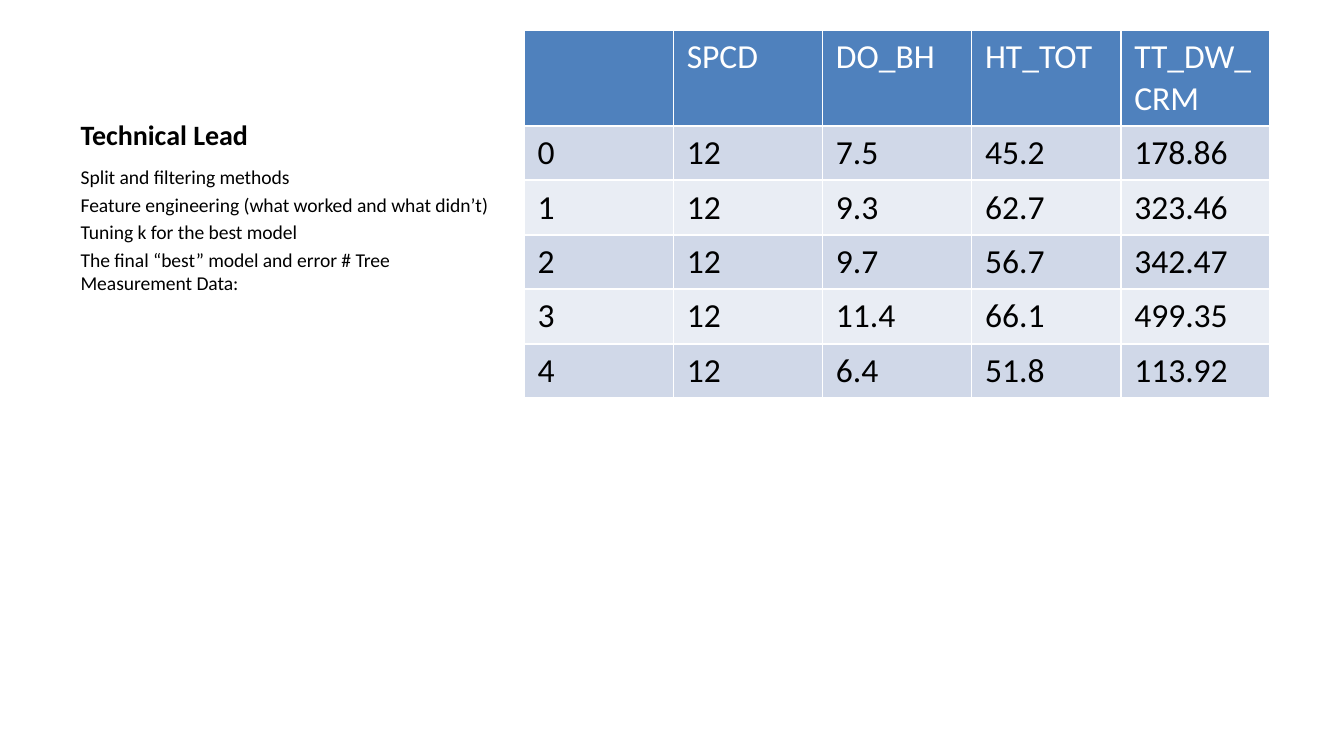
"""Build the Technical Lead slide with its tree measurement table."""
from pptx import Presentation
from pptx.dml.color import RGBColor
from pptx.enum.text import MSO_ANCHOR, MSO_AUTO_SIZE, PP_ALIGN
from pptx.util import Inches, Pt

TITLE = "Technical Lead"
TOPICS = [
    "Split and filtering methods",
    "Feature engineering (what worked and what didn’t)",
    "Tuning k for the best model",
    "The final “best” model and error # Tree Measurement Data:",
]
TREES = [
    ["", "SPCD", "DO_BH", "HT_TOT", "TT_DW_CRM"],
    ["0", "12", "7.5", "45.2", "178.86"],
    ["1", "12", "9.3", "62.7", "323.46"],
    ["2", "12", "9.7", "56.7", "342.47"],
    ["3", "12", "11.4", "66.1", "499.35"],
    ["4", "12", "6.4", "51.8", "113.92"],
]

FONT = "Calibri"
BLACK = RGBColor(0x00, 0x00, 0x00)
WHITE = RGBColor(0xFF, 0xFF, 0xFF)
BLUE = RGBColor(0x4F, 0x81, 0xBD)
BANDS = [RGBColor(0xE9, 0xED, 0xF4), RGBColor(0xD0, 0xD8, 0xE8)]
BOTTOM, TOP = MSO_ANCHOR.BOTTOM, MSO_ANCHOR.TOP
LEFT, NO_FIT = PP_ALIGN.LEFT, MSO_AUTO_SIZE.NONE

WIDE = 10
HIGH = WIDE * 9 / 16
EDGE, SIDE = 0.5, 3.29
HEAD, SPLIT = HIGH * 0.04, 1.18
GRID, COLUMN = 3.9, 1.11
HEAD_ROW, ROW = 0.7, 0.4


def write(frame, lines, size, color=BLACK, bold=False, gap=0):
    for i, line in enumerate(lines):
        para = frame.add_paragraph() if i else frame.paragraphs[0]
        para.alignment = LEFT
        para.space_before = Pt(gap if i else 0)
        run = para.add_run()
        run.text = line
        font = run.font
        font.name, font.size, font.bold = FONT, Pt(size), bold
        font.color.rgb = color


def place(holder, top, height, anchor):
    holder.left, holder.top = Inches(EDGE), Inches(top)
    holder.width, holder.height = Inches(SIDE), Inches(height)
    frame = holder.text_frame
    frame.word_wrap = True
    frame.auto_size = NO_FIT
    frame.vertical_anchor = anchor
    return frame


def draw_table(slide):
    rows, columns = len(TREES), len(TREES[0])
    table = slide.shapes.add_table(
        rows, columns, Inches(GRID), Inches(HEAD),
        Inches(COLUMN * columns), Inches(HEAD_ROW + ROW * (rows - 1))).table
    for r, values in enumerate(TREES):
        table.rows[r].height = Inches(ROW if r else HEAD_ROW)
        for c, value in enumerate(values):
            cell = table.cell(r, c)
            cell.fill.solid()
            cell.fill.fore_color.rgb = BANDS[r % 2] if r else BLUE
            if value:
                write(cell.text_frame, [value], 18, BLACK if r else WHITE)


def main():
    deck = Presentation()
    deck.slide_width, deck.slide_height = Inches(WIDE), Inches(HIGH)
    slide = deck.slides.add_slide(deck.slide_layouts[7])
    title, spare, body = slide.placeholders
    spare.element.getparent().remove(spare.element)
    write(place(title, HEAD, 0.95, BOTTOM), [TITLE], 15, bold=True)
    write(place(body, SPLIT, 3.85, TOP), TOPICS, 10.5, gap=2.1)
    draw_table(slide)
    deck.save("out.pptx")


if __name__ == "__main__":
    main()
